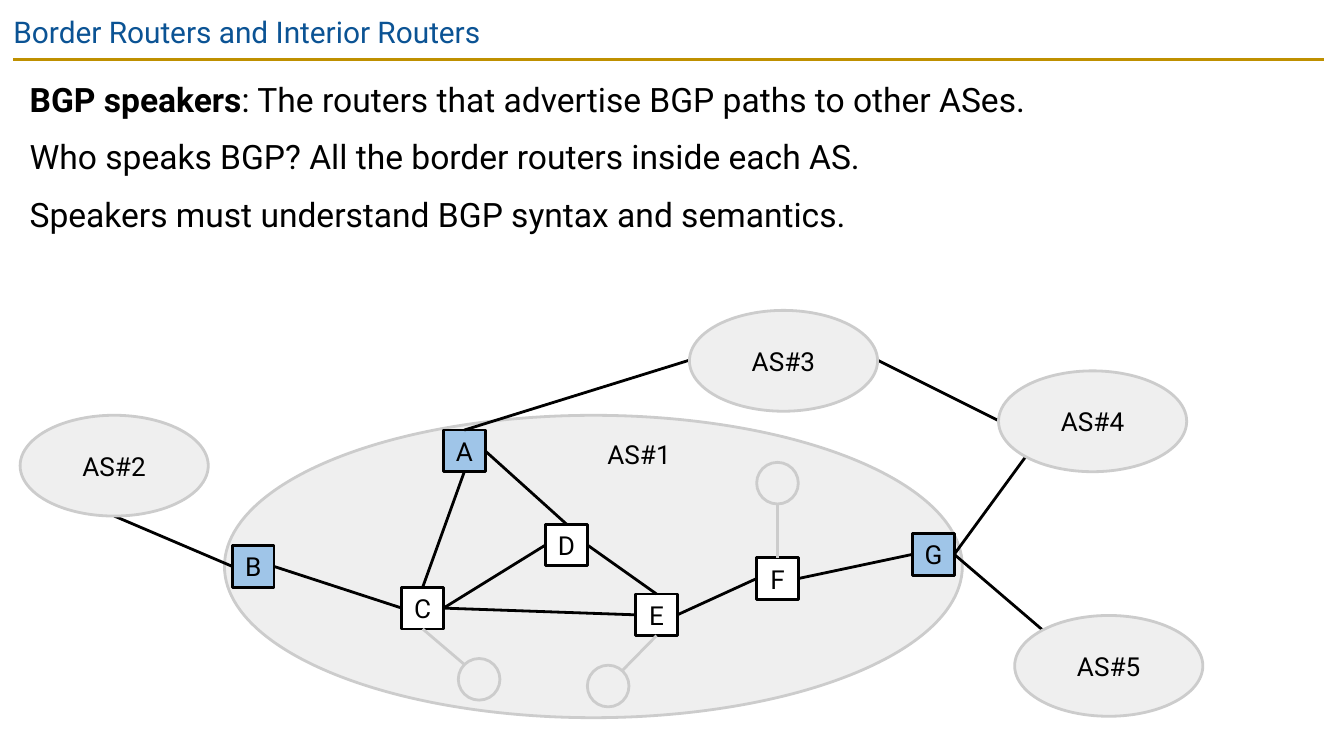
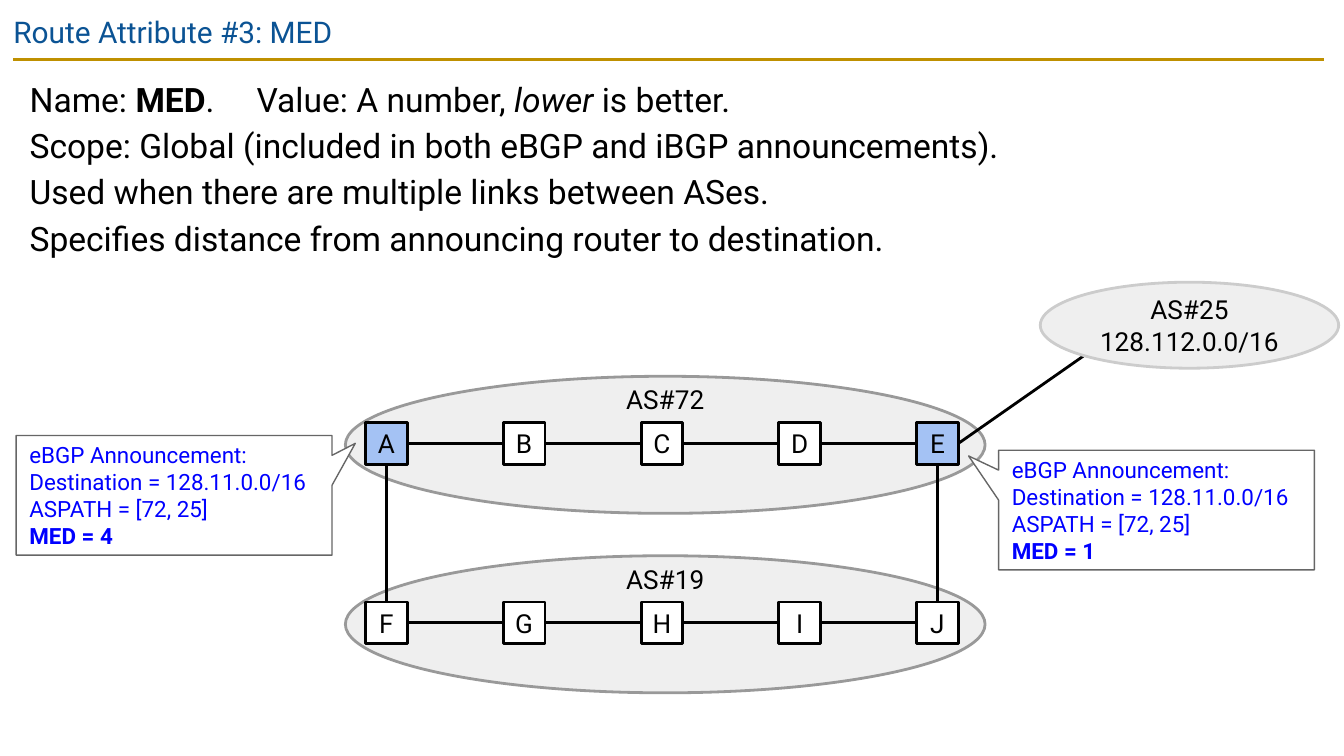
from lxml import etree
from pptx import Presentation
from pptx.dml.color import RGBColor
from pptx.enum.shapes import MSO_CONNECTOR, MSO_SHAPE
from pptx.enum.text import MSO_ANCHOR, MSO_AUTO_SIZE, PP_ALIGN
from pptx.oxml.ns import qn
from pptx.util import Inches, Pt

FONT = "Roboto"
COLORS = {
    "title": "0B5394", "gold": "BF9000", "black": "000000", "white": "FFFFFF",
    "pale": "EFEFEF", "light": "CCCCCC", "mid": "999999", "dark": "666666",
    "sky": "9FC5E8", "periwinkle": "A4C2F4", "blue": "0000FF",
}
RGB = {name: RGBColor.from_string(value) for name, value in COLORS.items()}
TOP, LEFT, BOTTOM, RIGHT = range(4)
OVAL, RECT, CALLOUT = MSO_SHAPE.OVAL, MSO_SHAPE.RECTANGLE, MSO_SHAPE.ROUNDED_RECTANGULAR_CALLOUT
ROUTER, AS_W, AS_H = 3.1, 14, 7.5

prs = Presentation()
prs.slide_width = Inches(10)
prs.slide_height = prs.slide_width * 9 // 16
CELL = prs.slide_width // 100


def add_box(s, kind, x, y, w, h, fill=None, line=None, lines=(), size=14,
            color="black", align=PP_ALIGN.CENTER, inset=1.0, width=1.5):
    at = [round(v * CELL) for v in (x, y, w, h)]
    if kind is None:
        sp = s.shapes.add_textbox(*at)
    else:
        sp = s.shapes.add_shape(kind, *at)
        sp.shadow.inherit = False
        if fill:
            sp.fill.solid()
            sp.fill.fore_color.rgb = RGB[fill]
        else:
            sp.fill.background()
        sp.line.color.rgb = RGB[line]
        sp.line.width = Pt(width)
    tf = sp.text_frame
    tf.word_wrap = True
    tf.vertical_anchor = MSO_ANCHOR.TOP if kind is None else MSO_ANCHOR.MIDDLE
    tf.margin_left = tf.margin_right = tf.margin_top = tf.margin_bottom = round(inset * CELL)
    for i, text in enumerate(lines):
        p = tf.paragraphs[0] if i == 0 else tf.add_paragraph()
        p.alignment = align
        r = p.add_run()
        r.text = text
        r.font.name, r.font.size, r.font.color.rgb = FONT, Pt(size), RGB[color]
        r.font.bold = text.startswith("MED")
    return sp


def add_link(s, start, end, color="black"):
    ends = [(0, 0) if hasattr(e[0], "shape_id") else [round(v * CELL) for v in e]
            for e in (start, end)]
    cxn = s.shapes.add_connector(MSO_CONNECTOR.STRAIGHT, *ends[0], *ends[1])
    if hasattr(start[0], "shape_id"):
        cxn.begin_connect(*start)
    if hasattr(end[0], "shape_id"):
        cxn.end_connect(*end)
    cxn.line.color.rgb = RGB[color]
    cxn.line.width = Pt(1.5)
    etree.SubElement(cxn._element.spPr, qn("a:effectLst"))


CONTENT = [
    ("Border Routers and Interior Routers", 14.5, [
        [("BGP speakers", "b"), (": The routers that advertise BGP paths to other ASes.", "")],
        [("Who speaks BGP? All the border routers inside each AS.", "")],
        [("Speakers must understand BGP syntax and semantics.", "")],
    ]),
    ("Route Attribute #3: MED", 18.1, [
        [("Name: ", ""), ("MED", "b"), (".", ""), (" ", "wide"), ("Value: A number, ", ""),
         ("lower", "i"), (" is better.", ""), ("\n", ""),
         ("Scope: Global (included in both eBGP and iBGP announcements).", ""), ("\n", ""),
         ("Used when there are multiple links between ASes.", ""), ("\n", ""),
         ("Specifies distance from announcing router to destination.", "")],
    ]),
]
slides = []
for title, body_h, paragraphs in CONTENT:
    s = prs.slides.add_slide(prs.slide_layouts[1])
    slides.append(s)
    add_link(s, (1, 4.43), (98.5, 4.43), "gold")
    body = s.placeholders[1]
    for ph, at in ((s.shapes.title, (0, 0, 93.2, 4.3)), (body, (1.2, 4.4, 97.4, body_h))):
        ph.left, ph.top, ph.width, ph.height = [round(v * CELL) for v in at]
        tf = ph.text_frame
        tf.word_wrap = True
        tf.auto_size = MSO_AUTO_SIZE.NONE
        tf.vertical_anchor = MSO_ANCHOR.TOP
        tf.margin_left = tf.margin_right = tf.margin_top = tf.margin_bottom = CELL
    p = s.shapes.title.text_frame.paragraphs[0]
    p.alignment = PP_ALIGN.LEFT
    r = p.add_run()
    r.text = title
    r.font.name, r.font.size, r.font.color.rgb = FONT, Pt(16), RGB["title"]
    for i, runs in enumerate(paragraphs):
        p = body.text_frame.paragraphs[0] if i == 0 else body.text_frame.add_paragraph()
        pPr = p._p.get_or_add_pPr()
        pPr.set("marL", "0")
        pPr.set("indent", "0")
        etree.SubElement(pPr, qn("a:buNone"))
        p.line_spacing = 1.15
        p.space_before = Pt(6 if i else 0)
        for text, style in runs:
            if text == "\n":
                p.add_line_break()
                continue
            r = p.add_run()
            r.text = text
            r.font.name, r.font.size, r.font.color.rgb = FONT, Pt(18), RGB["black"]
            r.font.bold, r.font.italic = style == "b", style == "i"
            if style == "wide":
                r._r.get_or_add_rPr().set("spc", "1800")

s = slides[0]
add_box(s, OVAL, 16.7, 30.9, 54.9, 22.5, "pale", "light")
routers = {}
for name, x, y in (("A", 33, 32), ("B", 17.3, 40.6), ("C", 29.9, 43.7), ("D", 40.6, 39),
                   ("E", 47.3, 44.2), ("F", 56.3, 41.5), ("G", 67.9, 39.7)):
    fill = "sky" if name in "ABG" else "white"
    routers[name] = add_box(s, RECT, x, y, ROUTER, ROUTER, fill, "black", [name], inset=0)
for a, a_side, b, b_side in (
        ("B", RIGHT, "C", LEFT), ("C", RIGHT, "D", LEFT), ("C", TOP, "A", BOTTOM),
        ("A", RIGHT, "D", TOP), ("C", RIGHT, "E", LEFT), ("E", TOP, "D", RIGHT),
        ("E", RIGHT, "F", LEFT), ("F", RIGHT, "G", LEFT)):
    add_link(s, (routers[a], a_side), (routers[b], b_side))
add_box(s, None, 43, 31.6, 9.1, 4.4, lines=["AS#1"])
for x, y, name, side, end in ((43.7, 49.5, "E", BOTTOM, (46.3, 49.9)),
                              (34.1, 49, "C", BOTTOM, (34.5, 49.4)),
                              (56.3, 34.4, "F", TOP, (57.85, 37.5))):
    add_box(s, OVAL, x, y, ROUTER, ROUTER, None, "light")
    add_link(s, (routers[name], side), end, "light")
for point, name, side in (((77.6, 46.9), "G", RIGHT), ((76.3, 34), "G", RIGHT),
                          ((51.3, 26.8), "A", TOP), ((8.5, 38.4), "B", LEFT)):
    add_link(s, point, (routers[name], side))
add_link(s, (74.3, 31.3), (65.3, 26.8))
for name, x, y in (("AS#5", 75.5, 45.8), ("AS#4", 74.3, 27.6),
                   ("AS#3", 51.3, 23.1), ("AS#2", 1.5, 30.9)):
    add_box(s, OVAL, x, y, AS_W, AS_H, "pale", "light", [name])

s = slides[1]
routers = {}
for name, y, letters in (("AS#72", 28, "ABCDE"), ("AS#19", 41.35, "FGHIJ")):
    add_box(s, OVAL, 25.7, y, 47.6, 10.2, "pale", "mid")
    add_box(s, None, 25.7, y + 0.25, 47.6, 3, lines=[name], inset=0.3)
    for i, letter in enumerate(letters):
        fill = "periwinkle" if letter in "AE" else "white"
        routers[letter] = add_box(s, RECT, 27.2 + 10.25 * i, y + 3.45, ROUTER, ROUTER,
                                  fill, "black", [letter], inset=0)
    for a, b in zip(letters, letters[1:]):
        add_link(s, (routers[a], RIGHT), (routers[b], LEFT))
for a, b in ("AF", "EJ"):
    add_link(s, (routers[a], BOTTOM), (routers[b], TOP))
add_link(s, (routers["E"], RIGHT), (80.6, 26.5))
add_box(s, OVAL, 77.4, 21, 22.2, 6.4, "pale", "light", ["AS#25", "128.112.0.0/16"])
for x, y, med, tip in ((1.2, 32.4, 4, (0.574, -0.434)), (74.3, 33.5, 1, (-0.595, -0.452))):
    sp = add_box(s, CALLOUT, x, y, 23.5, 8.9, "white", "dark",
                 ["eBGP Announcement:", "Destination = 128.11.0.0/16",
                  "ASPATH = [72, 25]", f"MED = {med}"],
                 12, "blue", PP_ALIGN.LEFT, width=0.75)
    for i, value in enumerate((*tip, 0)):
        sp.adjustments[i] = value

prs.save("out.pptx")
